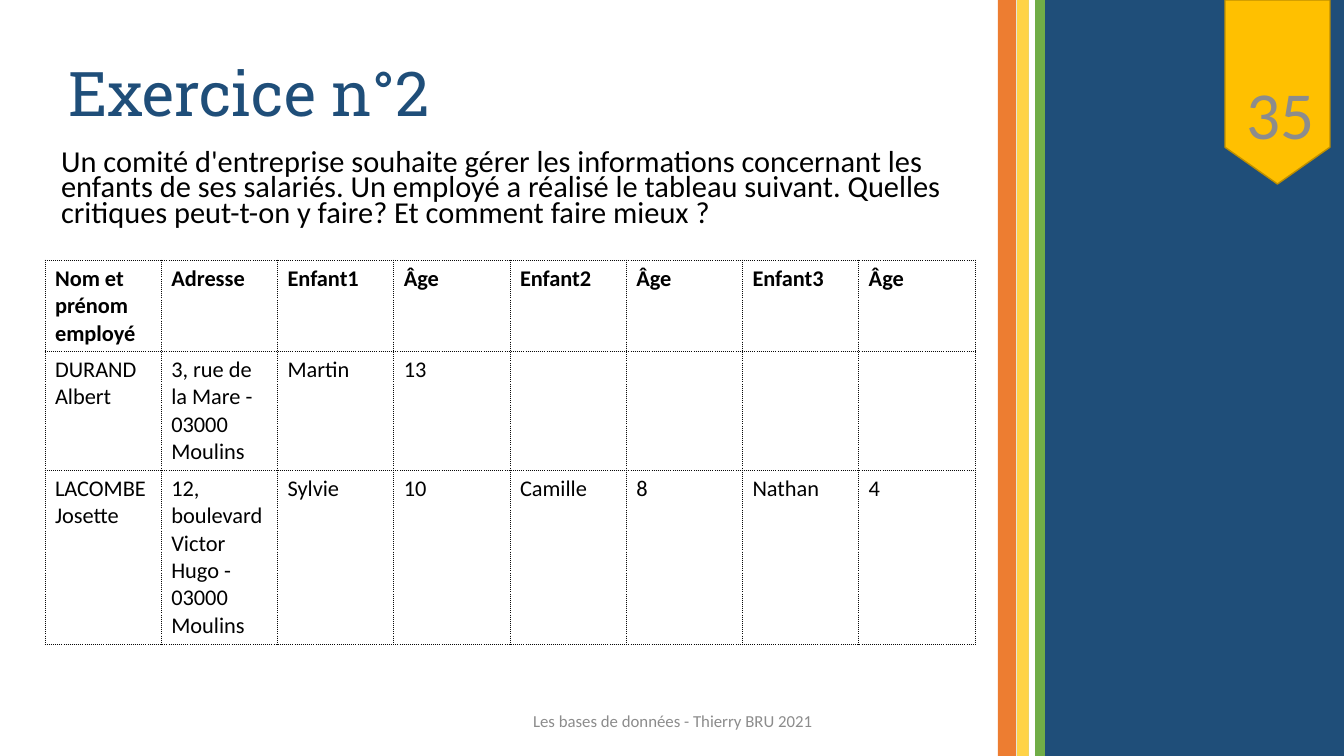
from lxml.etree import SubElement
from pptx import Presentation
from pptx.dml.color import RGBColor
from pptx.enum.shapes import MSO_SHAPE as Shape
from pptx.enum.text import MSO_ANCHOR as Anchor, MSO_AUTO_SIZE as AutoSize, PP_ALIGN as Align
from pptx.oxml.ns import qn
from pptx.util import Pt

SLIDE_W, SLIDE_H = 1344, 756
EMU_PER_PX = 12192000 / SLIDE_W
NAVY, GREY, BLACK = "1F4E79", "8C8C8C", "000000"
STRIPES = [  # left, width, colour
    (1017, 327, NAVY),
    (998, 18, "ED7D31"),
    (1017, 13, "FFD347"),
    (1029, 16, "70AD47"),
    (1029, 6, "FFFFFF"),
]
CHILDREN_ROWS = [
    ["Nom et prénom employé", "Adresse", "Enfant1", "Âge", "Enfant2", "Âge", "Enfant3", "Âge"],
    ["DURAND Albert", "3, rue de la Mare - 03000 Moulins", "Martin", "13", "", "", "", ""],
    ["LACOMBE Josette", "12, boulevard Victor Hugo - 03000 Moulins",
     "Sylvie", "10", "Camille", "8", "Nathan", "4"],
]
ROW_HEIGHTS = [91, 119, 174]
QUESTION = ("Un comité d'entreprise souhaite gérer les informations concernant les enfants "
            "de ses salariés. Un employé a réalisé le tableau suivant. Quelles critiques "
            "peut-t-on y faire? Et comment faire mieux ?")


def px(length):
    return round(length * EMU_PER_PX)


def rgb(colour):
    return RGBColor.from_string(colour)


def set_all(target, **values):
    for attribute, value in values.items():
        setattr(target, attribute, value)


def place(part, box):
    left, top, width, height = map(px, box)
    set_all(part, left=left, top=top, width=width, height=height)


def write(frame, text, size, colour, font="Calibri", bold=False, **paragraph_format):
    paragraph = frame.paragraphs[0]
    set_all(paragraph, **paragraph_format)
    run = paragraph.add_run()
    run.text = text
    set_all(run.font, name=font, size=Pt(size), bold=bold)
    run.font.color.rgb = rgb(colour)
    return paragraph


def add_heading(slide, box):
    title = slide.shapes.title
    place(title, box)
    set_all(title.text_frame, vertical_anchor=Anchor.MIDDLE, auto_size=AutoSize.NONE)
    write(title.text_frame, "Exercice n°2", 44, NAVY, "Roboto Slab",
          alignment=Align.LEFT, line_spacing=0.9)


def add_question(slide, box):
    body = slide.placeholders[1]
    place(body, box)
    body.text_frame.auto_size = AutoSize.NONE
    paragraph = write(body.text_frame, QUESTION, 21.7, BLACK,
                      line_spacing=0.7, space_before=Pt(10))
    properties = paragraph._p.get_or_add_pPr()
    properties.set("marL", "0")
    properties.set("indent", "0")
    SubElement(properties, qn("a:buNone"))


def add_caption(slide, box, text, size, alignment):
    caption = slide.shapes.add_textbox(*map(px, box)).text_frame
    set_all(caption, word_wrap=True, vertical_anchor=Anchor.MIDDLE)
    write(caption, text, size, GREY, alignment=alignment)


def add_filled(shapes, kind, box, colour):
    shape = shapes.add_shape(kind, *map(px, box))
    shape.shadow.inherit = False
    shape.fill.solid()
    shape.fill.fore_color.rgb = rgb(colour)
    shape.line.fill.background()
    return shape


def add_side_band(slide):
    band = slide.shapes.add_group_shape()
    for left, width, colour in STRIPES:
        add_filled(band.shapes, Shape.RECTANGLE, (left, 0, width, SLIDE_H), colour)


def add_page_tag(slide, box):
    left, top, width, _ = box
    tag = add_filled(slide.shapes, Shape.FLOWCHART_OFFPAGE_CONNECTOR, box, "FFC000")
    tag.line.color.rgb = rgb("BD8E00")
    tag.line.width = Pt(1)
    add_caption(slide, (left - 202, top + 93, width + 197, 40), "35", 48, Align.RIGHT)


def dot_borders(cell):
    properties = cell._tc.get_or_add_tcPr()
    for index, side in enumerate(("lnL", "lnR", "lnT", "lnB")):
        line = properties.makeelement(qn(f"a:{side}"), {"w": str(Pt(0.6))})
        fill = SubElement(line, qn("a:solidFill"))
        SubElement(fill, qn("a:srgbClr"), val="0A0A0A")
        SubElement(line, qn("a:prstDash"), val="sysDot")
        properties.insert(index, line)


def add_children_table(slide, box):
    columns = len(CHILDREN_ROWS[0])
    table = slide.shapes.add_table(len(CHILDREN_ROWS), columns, *map(px, box)).table
    set_all(table, first_row=False, horz_banding=False)
    for column in table.columns:
        column.width = px(box[2] / columns)
    for row, height, texts in zip(table.rows, ROW_HEIGHTS, CHILDREN_ROWS):
        row.height = px(height)
        for cell, text in zip(row.cells, texts):
            cell.fill.background()
            dot_borders(cell)
            if text:
                write(cell.text_frame, text, 16, BLACK, bold=texts is CHILDREN_ROWS[0])


def main():
    deck = Presentation()
    set_all(deck, slide_width=px(SLIDE_W), slide_height=px(SLIDE_H))
    slide = deck.slides.add_slide(deck.slide_layouts[1])
    add_question(slide, (51, 147, 923, 103))
    add_heading(slide, (58, 40, 923, 113))
    add_side_band(slide)
    add_caption(slide, (446, 701, 454, 40), "Les bases de données - Thierry BRU 2021",
                12, Align.CENTER)
    add_page_tag(slide, (1225, 0, 105, 184))
    add_children_table(slide, (45, 260, 930, sum(ROW_HEIGHTS)))
    deck.save("out.pptx")


if __name__ == "__main__":
    main()
